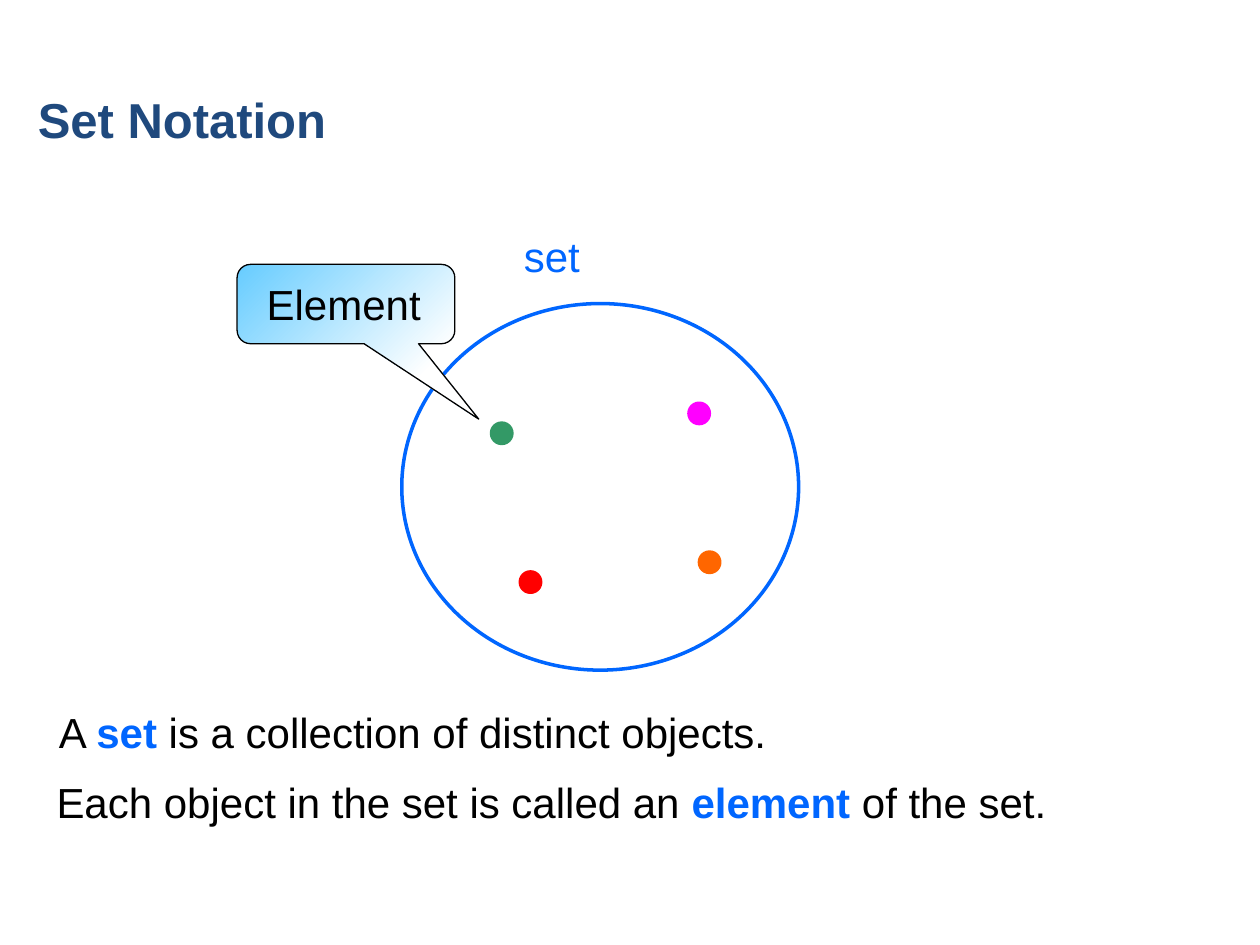
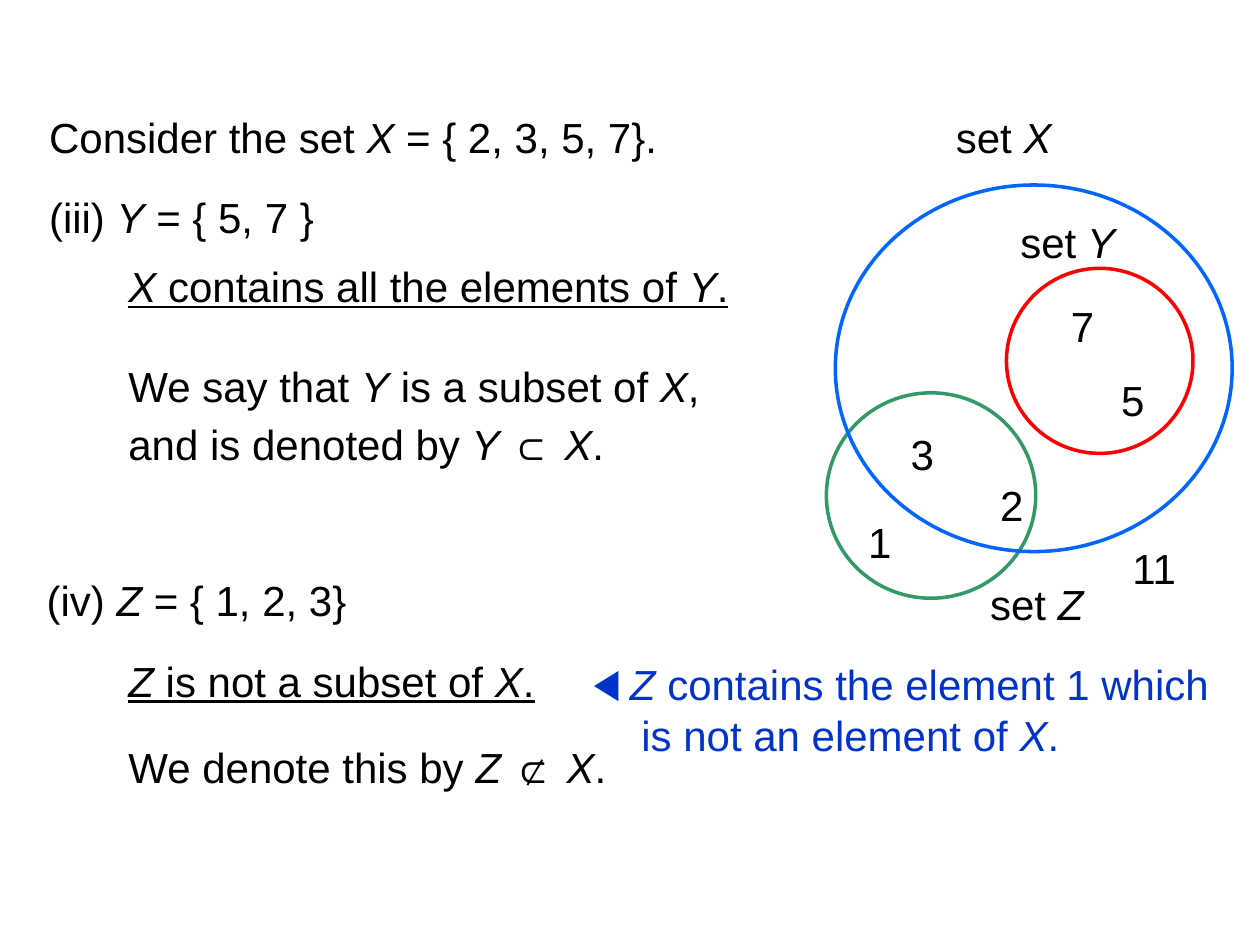
"""Build two slides on set notation and subsets."""
from dataclasses import dataclass

from lxml.etree import SubElement
from pptx import Presentation
from pptx.dml.color import RGBColor
from pptx.enum.shapes import MSO_SHAPE
from pptx.enum.text import MSO_ANCHOR, MSO_AUTO_SIZE, PP_ALIGN
from pptx.oxml.ns import qn
from pptx.util import Cm, Pt

FONT = "Arial"
BLACK, NAVY, BLUE, NOTE_BLUE = "000000", "1F497D", "0066FF", "0033CC"
RED, GREEN, MAGENTA, ORANGE = "FF0000", "339966", "FF00FF", "FF6600"
SKY, WHITE = "66CCFF", "FFFFFF"
LINE_HEIGHT = 1.29
DOT_SIZE = 0.41
SET_WIDTH, SET_HEIGHT = 8.0, 7.39
KEY_TERM = {"bold": True, "color": BLUE}
VARIABLE = {"italic": True}


@dataclass
class Label:
    """A line of text whose parts between asterisks are emphasised."""
    text: str
    left: float
    top: float
    width: float
    color: str = BLACK
    underline: bool = False
    wrap: bool = True
    align: PP_ALIGN = PP_ALIGN.LEFT


@dataclass
class Oval:
    """An ellipse, filled with its line colour when solid."""
    left: float
    top: float
    width: float
    height: float
    color: str
    solid: bool = False


def rgb(value: str) -> RGBColor:
    """Return the colour of a hex string."""
    return RGBColor.from_string(value)


def write(para, text: str, base: dict, emphasis: dict) -> None:
    """Fill a paragraph, emphasising the parts between asterisks."""
    for index, part in enumerate(text.split("*")):
        if not part:
            continue
        span = para.add_run()
        span.text = part
        style = {"name": FONT, "size": Pt(24), **base, **(emphasis if index % 2 else {})}
        span.font.color.rgb = rgb(style.pop("color"))
        for name, value in style.items():
            setattr(span.font, name, value)


def add_box(page, left: float, top: float, width: float, height: float, wrap: bool = True):
    """Add an empty text box and return its frame."""
    box = page.shapes.add_textbox(Cm(left), Cm(top), Cm(width), Cm(height))
    box.text_frame.word_wrap = wrap
    box.text_frame.auto_size = MSO_AUTO_SIZE.SHAPE_TO_FIT_TEXT
    return box.text_frame


def add_label(page, label: Label, emphasis: dict) -> None:
    """Draw one label."""
    frame = add_box(page, label.left, label.top, label.width, LINE_HEIGHT, label.wrap)
    para = frame.paragraphs[0]
    para.alignment = label.align
    base = {"color": label.color}
    if label.underline:
        base["underline"] = True
    write(para, label.text, base, emphasis)


def add_oval(page, oval: Oval) -> None:
    """Draw one ellipse."""
    shape = page.shapes.add_shape(MSO_SHAPE.OVAL, Cm(oval.left), Cm(oval.top),
                                  Cm(oval.width), Cm(oval.height))
    shape.shadow.inherit = False
    shape.line.color.rgb = rgb(oval.color)
    shape.line.width = Pt(2)
    if oval.solid:
        shape.fill.solid()
        shape.fill.fore_color.rgb = rgb(oval.color)
    else:
        shape.fill.background()


def add_title(page, text: str) -> None:
    """Place and format the title placeholder."""
    title = page.shapes.title
    place = {"left": Cm(0.51), "top": Cm(1.68), "width": Cm(24), "height": Cm(1.45)}
    for name, value in place.items():
        setattr(title, name, value)
    frame = title.text_frame
    frame.vertical_anchor = MSO_ANCHOR.TOP
    frame.paragraphs[0].alignment = PP_ALIGN.LEFT
    write(frame.paragraphs[0], text, {"color": NAVY, "size": Pt(28), "bold": True}, {})


def add_callout(page) -> None:
    """Draw the gradient callout that points at the green element."""
    callout = page.shapes.add_shape(MSO_SHAPE.ROUNDED_RECTANGULAR_CALLOUT,
                                    Cm(4.78), Cm(5.33), Cm(4.39), Cm(1.6))
    for index, value in enumerate((0.61, 1.45, 0.17)):
        callout.adjustments[index] = value
    callout.shadow.inherit = False
    callout.fill.gradient()
    callout.fill.gradient_angle = 315
    for stop, color, position in zip(callout.fill.gradient_stops, (SKY, WHITE), (0, 1)):
        stop.color.rgb = rgb(color)
        stop.position = position
    callout.line.color.rgb = rgb(BLACK)
    callout.line.width = Pt(0.75)


def add_note(page, lines: tuple[str, ...]) -> None:
    """Draw the arrow-bulleted note, its later lines set slightly deeper."""
    frame = add_box(page, 11.71, 13.16, 13.21, 2.31)
    for index, text in enumerate(lines):
        para = frame.add_paragraph() if index else frame.paragraphs[0]
        properties = para._p.get_or_add_pPr()
        if index:
            properties.set("marL", str(Cm(0.97)))
        else:
            properties.set("marL", str(Cm(0.74)))
            properties.set("indent", str(Cm(-0.74)))
            SubElement(properties, qn("a:buFont"), typeface=FONT)
            SubElement(properties, qn("a:buChar"), char="◀")
        write(para, text, {"color": NOTE_BLUE}, VARIABLE)


def build_notation(page) -> None:
    """Draw the slide that names a set and its elements."""
    add_title(page, "Set Notation")
    dots = ((10.49, 11.53, RED), (9.91, 8.53, GREEN),
            (13.89, 8.13, MAGENTA), (14.1, 11.13, ORANGE))
    for left, top, color in dots:
        add_oval(page, Oval(left, top, DOT_SIZE, DOT_SIZE, color, solid=True))
    add_oval(page, Oval(8.1, 6.12, SET_WIDTH, SET_HEIGHT, BLUE))
    add_callout(page)
    labels = (
        Label("set", 10.31, 4.52, 3.61, color=BLUE),
        Label("Element", 4.57, 5.49, 4.72, align=PP_ALIGN.CENTER),
        Label("A *set* is a collection of distinct objects.", 0.94, 14.12, 14.76),
        Label("Each object in the set is called an *element *of the set.", 0.89, 15.52, 23.77),
    )
    for label in labels:
        add_label(page, label, KEY_TERM)


def build_subsets(page) -> None:
    """Draw the slide that compares sets X, Y and Z."""
    ovals = (
        Oval(20.29, 5.41, 3.76, 3.73, RED),
        Oval(16.66, 7.92, 4.22, 4.14, GREEN),
        Oval(16.84, 3.73, SET_WIDTH, SET_HEIGHT, BLUE),
    )
    for oval in ovals:
        add_oval(page, oval)
    labels = (
        Label("Consider the set *X* = { 2, 3, 5, 7}.", 0.74, 2.13, 14.17),
        Label("(iii) *Y* = { 5, 7 }", 0.74, 3.73, 6.96),
        Label("*X* contains all the elements of *Y*.", 2.34, 5.13, 15.57, underline=True),
        Label("We say that *Y* is a subset of *X*,", 2.34, 7.14, 15.16),
        Label("and is denoted by *Y *⊂ *X*.", 2.34, 8.31, 15.16),
        Label("(iv) *Z* = { 1, 2, 3}", 0.69, 11.46, 6.96),
        Label("*Z* is not a subset of *X*.", 2.34, 13.08, 10.77, underline=True),
        Label("We denote this by *Z *⊄ *X*.", 2.34, 14.83, 11.76),
        Label("set *X*", 19.02, 2.13, 3.61),
        Label("set* Y*", 20.32, 4.24, 3.99),
        Label("set *Z*", 19.71, 11.53, 3.4),
    )
    numbers = (("3", 18.11, 8.51), ("1", 17.25, 10.29), ("2", 19.91, 9.55),
               ("5", 22.35, 7.42), ("7", 21.34, 5.94), ("11", 22.58, 10.82))
    for label in labels:
        add_label(page, label, VARIABLE)
    for text, left, top in numbers:
        width = 0.57 + 0.42 * len(text)
        add_label(page, Label(text, left, top, width, wrap=False), VARIABLE)
    add_note(page, ("*Z *contains the element 1 which", "is not an element of *X*."))


def main() -> None:
    """Build and save the deck."""
    deck = Presentation()
    deck.slide_width, deck.slide_height = Cm(25.4), Cm(19.05)
    title_only, blank = deck.slide_layouts[5], deck.slide_layouts[6]
    build_notation(deck.slides.add_slide(title_only))
    build_subsets(deck.slides.add_slide(blank))
    deck.save("out.pptx")


if __name__ == "__main__":
    main()
